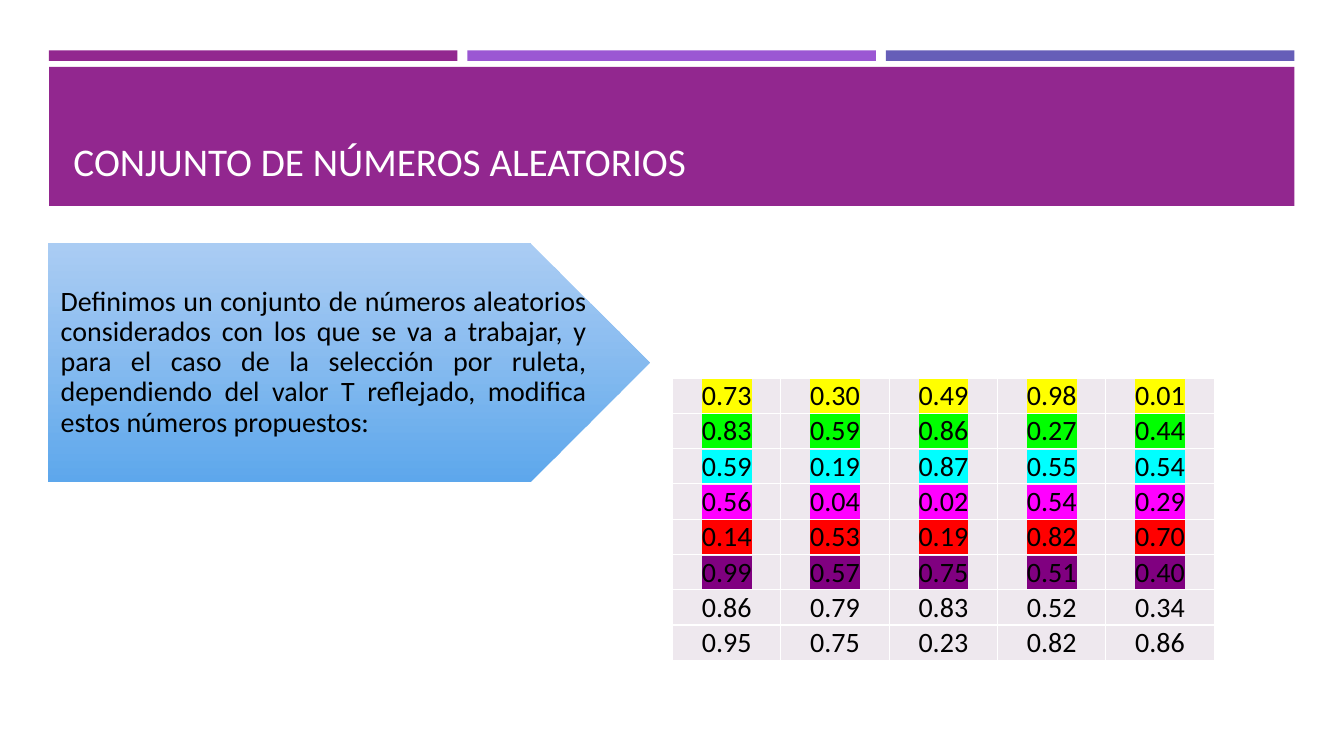
import dataclasses

import lxml.etree
import pptx
import pptx.dml.color
import pptx.enum.shapes
import pptx.enum.text
import pptx.oxml.ns
import pptx.util

Pt = pptx.util.Pt
ALIGN = pptx.enum.text.PP_ALIGN
ANCHOR = pptx.enum.text.MSO_ANCHOR
SHAPE = pptx.enum.shapes.MSO_SHAPE


@dataclasses.dataclass(frozen=True)
class Theme:
    """Colours, font and type sizes of the slide."""
    font: str = "Calibri"
    title_size: int = 28
    body_size: int = 20
    white: str = "FFFFFF"
    black: str = "000000"
    purple: str = "92278F"
    accents: tuple = ("92278F", "9B57D3", "665EB8")
    arrow_top: str = "A2C8F3"
    arrow_bottom: str = "5EA8ED"
    cell: str = "EEE8EE"
    highlights: tuple = ("FFFF00", "00FF00", "00FFFF", "FF00FF", "FF0000", "800080", None, None)


THEME = Theme()
TITLE = "CONJUNTO DE NÚMEROS ALEATORIOS"
DEFINITION = (
    "Definimos un conjunto de números aleatorios considerados con los que se va a trabajar, "
    "y para el caso de la selección por ruleta, dependiendo del valor T reflejado, "
    "modifica estos números propuestos:"
)
RANDOM_NUMBERS = (
    ("0.73", "0.30", "0.49", "0.98", "0.01"),
    ("0.83", "0.59", "0.86", "0.27", "0.44"),
    ("0.59", "0.19", "0.87", "0.55", "0.54"),
    ("0.56", "0.04", "0.02", "0.54", "0.29"),
    ("0.14", "0.53", "0.19", "0.82", "0.70"),
    ("0.99", "0.57", "0.75", "0.51", "0.40"),
    ("0.86", "0.79", "0.83", "0.52", "0.34"),
    ("0.95", "0.75", "0.23", "0.82", "0.86"),
)


def rgb(value):
    """Turn a hex string into a colour."""
    return pptx.dml.color.RGBColor.from_string(value)


def add_xml(parent, tag, **attributes):
    """Append a drawing element to a parent and return it."""
    return lxml.etree.SubElement(parent, pptx.oxml.ns.qn(tag), attributes)


def write(frame, text, *, size, color=THEME.black, align=ALIGN.LEFT, highlight=None,
          line_spacing=None, space_after=None):
    """Write one formatted paragraph into a text frame."""
    paragraph = frame.paragraphs[0]
    paragraph.alignment = align
    paragraph.line_spacing = line_spacing
    paragraph.space_after = space_after
    run = paragraph.add_run()
    run.text = text
    run.font.size = Pt(size)
    run.font.name = THEME.font
    run.font.color.rgb = rgb(color)
    if highlight:
        properties = run.font.fill._xPr
        marker = add_xml(properties, "a:highlight")
        add_xml(marker, "a:srgbClr", val=highlight)
        properties.find(pptx.oxml.ns.qn("a:solidFill")).addnext(marker)


def set_margins(holder, left, top, right, bottom):
    """Set the inner margins of a text frame or table cell."""
    holder.margin_left, holder.margin_top = Pt(left), Pt(top)
    holder.margin_right, holder.margin_bottom = Pt(right), Pt(bottom)


def add_block(slide, kind, left, top, width, height, color=None):
    """Add a borderless shape without shadow."""
    block = slide.shapes.add_shape(kind, Pt(left), Pt(top), Pt(width), Pt(height))
    block.shadow.inherit = False
    block.line.fill.background()
    if color:
        block.fill.solid()
        block.fill.fore_color.rgb = rgb(color)
    return block


def draw_header(slide, left, top, width, height):
    """Draw the accent bars and the title band below them."""
    gap, bar_height, band_offset = 7.2, 7.5, 11.7
    bar_width = (width - 2 * gap) / 3
    for index, accent in enumerate(THEME.accents):
        add_block(slide, SHAPE.RECTANGLE, left + index * (bar_width + gap), top,
                  bar_width, bar_height, accent)
    band_top, band_height = top + band_offset, height - band_offset
    add_block(slide, SHAPE.RECTANGLE, left, band_top, width, band_height, THEME.purple)
    title = slide.shapes.add_textbox(Pt(left + 10.4), Pt(band_top + 10),
                                     Pt(width - 21.5), Pt(band_height - 21.5))
    title.text_frame.word_wrap = True
    title.text_frame.vertical_anchor = ANCHOR.BOTTOM
    write(title.text_frame, TITLE, size=THEME.title_size, color=THEME.white)


def draw_definition(slide, left, top, width, height):
    """Draw the gradient arrow that holds the definition."""
    arrow = add_block(slide, SHAPE.PENTAGON, left, top, width, height)
    arrow.fill.gradient()
    arrow.fill.gradient_angle = 270
    for stop, color in zip(arrow.fill.gradient_stops, (THEME.arrow_top, THEME.arrow_bottom)):
        stop.color.rgb = rgb(color)
    top_color = next(arrow.element.spPr.iter(pptx.oxml.ns.qn("a:srgbClr")))
    add_xml(top_color, "a:alpha", val="90000")
    frame = arrow.text_frame
    frame.word_wrap = True
    frame.vertical_anchor = ANCHOR.MIDDLE
    set_margins(frame, 8.4, 4.2, 2.1, 4.2)
    write(frame, DEFINITION, size=THEME.body_size, align=ALIGN.JUSTIFY,
          line_spacing=0.9, space_after=Pt(7))


def format_cell(cell, text, highlight):
    """Fill, border and write one table cell."""
    properties = cell._tc.get_or_add_tcPr()
    for side in ("a:lnL", "a:lnR", "a:lnT", "a:lnB"):
        border = add_xml(properties, side, w=str(Pt(1)))
        add_xml(add_xml(border, "a:solidFill"), "a:srgbClr", val=THEME.white)
    cell.fill.solid()
    cell.fill.fore_color.rgb = rgb(THEME.cell)
    cell.vertical_anchor = ANCHOR.BOTTOM
    set_margins(cell, 0.7, 0.7, 0.7, 0)
    write(cell.text_frame, text, size=THEME.body_size, align=ALIGN.CENTER, highlight=highlight)


def draw_numbers(slide, left, top, width, height):
    """Draw the table of random numbers with one highlight per row."""
    row_count, column_count = len(RANDOM_NUMBERS), len(RANDOM_NUMBERS[0])
    numbers = slide.shapes.add_table(row_count, column_count, Pt(left), Pt(top),
                                     Pt(width), Pt(height)).table
    numbers.first_row = False
    numbers.horz_banding = False
    for row, (values, highlight) in enumerate(zip(RANDOM_NUMBERS, THEME.highlights)):
        for column, value in enumerate(values):
            format_cell(numbers.cell(row, column), value, highlight)


def main():
    """Build and save the slide."""
    deck = pptx.Presentation()
    deck.slide_width, deck.slide_height = Pt(960), Pt(540)
    slide = deck.slides.add_slide(deck.slide_layouts[6])
    draw_header(slide, 35, 36, 889.6, 111)
    draw_definition(slide, 35, 174, 428.6, 170)
    draw_numbers(slide, 480.4, 270, 387, 201.6)
    deck.save("out.pptx")


if __name__ == "__main__":
    main()
